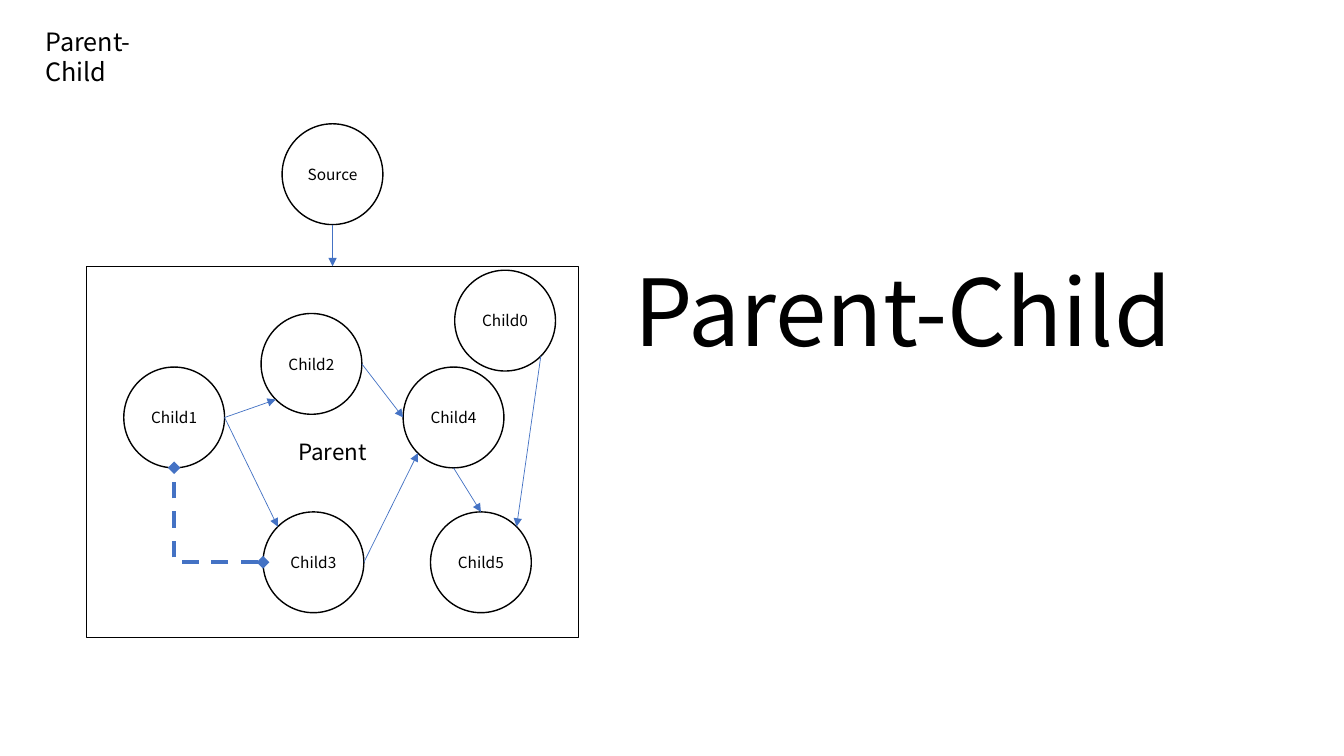
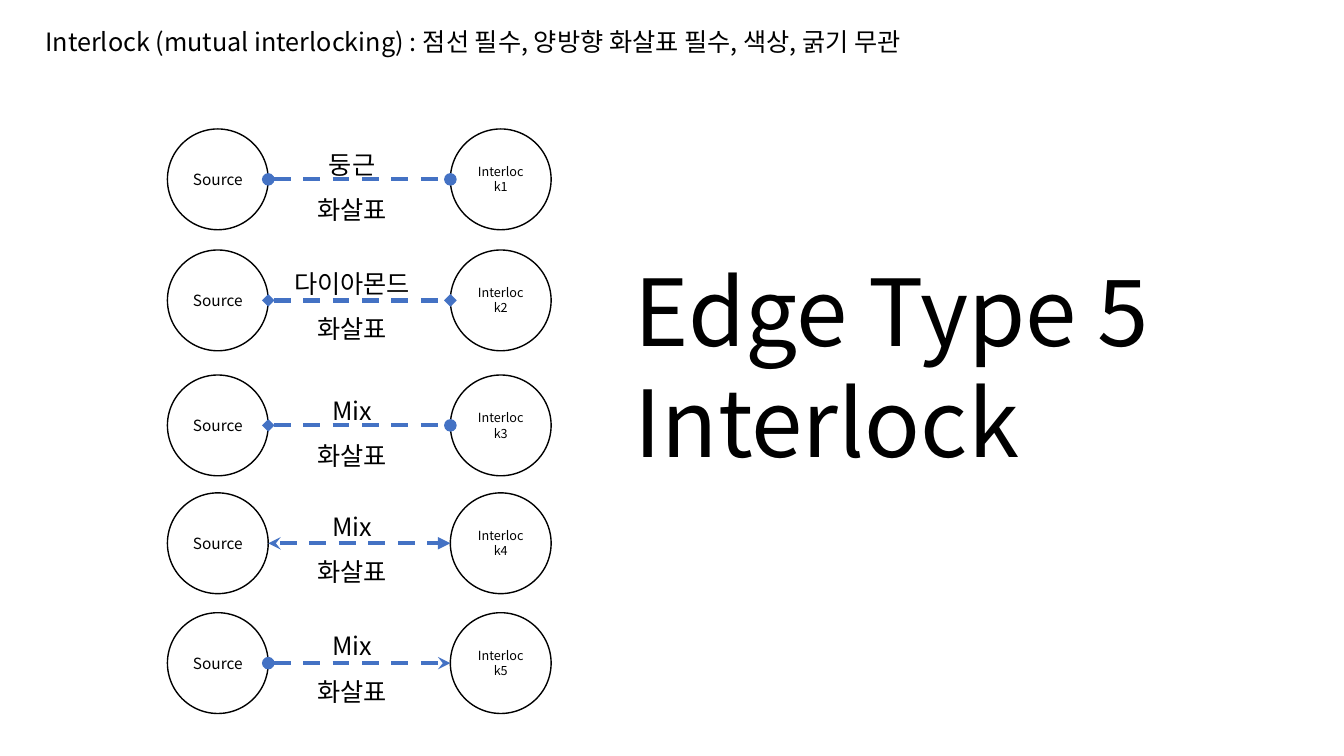
"""Build two slides on graph edges: parent-child and interlock."""
from dataclasses import dataclass
from typing import Any

from lxml import etree
from pptx import Presentation
from pptx import util as u
from pptx.dml.color import RGBColor
from pptx.enum import dml, shapes, text
from pptx.oxml.ns import qn

FONT = "Noto Sans CJK KR"
BLACK, WHITE, BLUE = "000000", "FFFFFF", "4472C4"
NODE = 2.54
ROUND, BOX = shapes.MSO_SHAPE.OVAL, shapes.MSO_SHAPE.RECTANGLE
LEFT, CENTER = text.PP_ALIGN.LEFT, text.PP_ALIGN.CENTER
NEAR, FAR = 0.5 - 0.5 ** 1.5, 0.5 + 0.5 ** 1.5
TOP, TOP_LEFT, WEST, BOTTOM_LEFT, BOTTOM, BOTTOM_RIGHT, EAST, TOP_RIGHT = range(8)
SITES = {
    TOP: (0.5, 0), TOP_LEFT: (NEAR, NEAR), WEST: (0, 0.5), BOTTOM_LEFT: (NEAR, FAR),
    BOTTOM: (0.5, 1), BOTTOM_RIGHT: (FAR, FAR), EAST: (1, 0.5), TOP_RIGHT: (FAR, NEAR),
}


@dataclass
class Node:
    """A circle with its name and top-left corner in centimetres."""
    name: str
    left: float
    top: float


@dataclass
class Edge:
    """A connection between sites of two named nodes."""
    start: str
    start_site: int
    end: str
    end_site: int


@dataclass
class Interlock:
    """A row holding a circle pair, a label and two arrowheads."""
    top: float
    label_top: float
    label: str
    head: str
    tail: str


CHILDREN = [
    Node("Child4", 10.16, 9.25),
    Node("Child1", 3.12, 9.25),
    Node("Child3", 6.63, 12.9),
    Node("Child2", 6.58, 7.9),
    Node("Child5", 10.85, 12.9),
    Node("Child0", 11.46, 6.81),
]
EDGES = [
    Edge("Child2", EAST, "Child4", WEST),
    Edge("Child1", EAST, "Child3", TOP_LEFT),
    Edge("Child1", EAST, "Child2", BOTTOM_LEFT),
    Edge("Child3", EAST, "Child4", BOTTOM_LEFT),
    Edge("Child4", BOTTOM, "Child5", TOP),
    Edge("Child0", BOTTOM_RIGHT, "Child5", TOP_RIGHT),
]
INTERLOCKS = [
    Interlock(3.25, 3.25, "둥근", "oval", "oval"),
    Interlock(6.3, 6.25, "다이아몬드", "diamond", "diamond"),
    Interlock(9.45, 9.45, "Mix", "diamond", "oval"),
    Interlock(12.42, 12.37, "Mix", "stealth", "triangle"),
    Interlock(15.44, 15.39, "Mix", "oval", "stealth"),
]


def color(value: str) -> RGBColor:
    """Turn a hex string into a colour."""
    return RGBColor.from_string(value)


def write(tf: Any, lines: list[str], size: float, align: Any = LEFT, spacing: float = 1.0) -> None:
    """Fill a text frame with one paragraph per line."""
    tf.word_wrap = True
    for i, line in enumerate(lines):
        p = tf.add_paragraph() if i else tf.paragraphs[0]
        p.alignment, p.line_spacing = align, spacing
        r = p.add_run()
        r.text = line
        r.font.size, r.font.name = u.Pt(size), FONT
        r.font.color.rgb = color(BLACK)
        etree.SubElement(r.font._element, qn("a:ea"), typeface=FONT)


def add_slide(prs: Any, title: str, width: float) -> Any:
    """Add a title-only slide with a small heading at the top left."""
    s = prs.slides.add_slide(prs.slide_layouts[5])
    sp = s.shapes.title
    sp.left, sp.top, sp.width, sp.height = map(u.Cm, (0.89, 0.53, width, 1.02))
    tf = sp.text_frame
    tf.auto_size = text.MSO_AUTO_SIZE.NONE
    tf.vertical_anchor = text.MSO_ANCHOR.TOP
    write(tf, [title], 18)
    return s


def add_text(tree: Any, lines: list[str], box: tuple[float, float, float, float],
             size: float, align: Any = LEFT, spacing: float = 1.0) -> None:
    """Add a text box at left, top, width and height."""
    sp = tree.add_textbox(*map(u.Cm, box))
    write(sp.text_frame, lines, size, align, spacing)


def add_caption(tree: Any, lines: list[str], height: float) -> None:
    """Add the large caption on the right."""
    add_text(tree, lines, (15.75, 6.27, 17.53, height), 66)


def add_node(tree: Any, name: str, box: tuple[float, float, float, float],
             size: float = 11, kind: Any = ROUND) -> Any:
    """Add an outlined white shape with a centred name."""
    sp = tree.add_shape(kind, *map(u.Cm, box))
    sp.shadow.inherit = False
    sp.fill.solid()
    sp.fill.fore_color.rgb = color(WHITE)
    sp.line.color.rgb, sp.line.width = color(BLACK), u.Pt(1)
    sp.text_frame.vertical_anchor = text.MSO_ANCHOR.MIDDLE
    write(sp.text_frame, [name], size, CENTER)
    return sp


def site_point(sp: Any, site: int) -> tuple[int, int]:
    """Locate a connection site of a shape."""
    fx, fy = SITES[site]
    return u.Emu(int(sp.left + fx * sp.width)), u.Emu(int(sp.top + fy * sp.height))


def connect(tree: Any, start: Any, start_site: int, end: Any, end_site: int,
            head: str = "", tail: str = "triangle", bent: bool = False) -> None:
    """Glue an arrow to two shapes; a head at the start makes it thick and dashed."""
    kind = shapes.MSO_CONNECTOR.ELBOW if bent else shapes.MSO_CONNECTOR.STRAIGHT
    cxn = tree.add_connector(kind, *site_point(start, start_site), *site_point(end, end_site))
    cxn.line.color.rgb, cxn.line.width = color(BLUE), u.Pt(3 if head else 0.5)
    if head:
        cxn.line.dash_style = dml.MSO_LINE.DASH
    ln = cxn.line._get_or_add_ln()
    for tag, ending in (("a:headEnd", head), ("a:tailEnd", tail)):
        if ending:
            etree.SubElement(ln, qn(tag), type=ending)
    el = cxn._element
    etree.SubElement(el.spPr, qn("a:effectLst"))
    if bent:
        el.spPr.find(qn("a:prstGeom")).set("prst", "bentConnector2")
    glue = el.find(".//" + qn("p:cNvCxnSpPr"))
    for tag, sp, site in (("a:stCxn", start, start_site), ("a:endCxn", end, end_site)):
        etree.SubElement(glue, qn(tag), id=str(sp.shape_id), idx=str(site))


def build_parent_child(prs: Any) -> None:
    """Draw a source leading into a parent with linked children."""
    s = add_slide(prs, "Parent-Child", 4.04)
    add_caption(s.shapes, ["Parent-Child"], 3.07)
    source = add_node(s.shapes, "Source", (7.11, 3.12, NODE, NODE))
    tree = s.shapes.add_group_shape().shapes
    parent = add_node(tree, "Parent", (2.18, 6.71, 12.4, 9.35), 16, BOX)
    nodes = {n.name: add_node(tree, n.name, (n.left, n.top, NODE, NODE)) for n in CHILDREN}
    for e in EDGES:
        connect(tree, nodes[e.start], e.start_site, nodes[e.end], e.end_site)
    connect(tree, nodes["Child3"], WEST, nodes["Child1"], BOTTOM, "diamond", "diamond", True)
    connect(s.shapes, source, BOTTOM, parent, TOP)


def build_interlock(prs: Any) -> None:
    """Draw one interlock row per pair of arrowheads."""
    s = add_slide(prs, "Interlock (mutual interlocking) : 점선 필수, 양방향 화살표 필수, 색상, 굵기 무관", 24.4)
    tree = s.shapes
    for i, row in enumerate(INTERLOCKS, 1):
        source = add_node(tree, "Source", (4.22, row.top, NODE, NODE))
        target = add_node(tree, f"Interlock{i}", (11.35, row.top, NODE, NODE), 9)
        connect(tree, source, EAST, target, WEST, row.head, row.tail)
        add_text(tree, [row.label, "화살표"], (7.01, row.label_top, 3.73, 2.41), 18, CENTER, 1.5)
    add_caption(tree, ["Edge Type 5", "Interlock"], 5.89)


def main() -> None:
    """Build and save the presentation."""
    prs = Presentation()
    prs.slide_width, prs.slide_height = u.Cm(33.87), u.Cm(19.05)
    build_parent_child(prs)
    build_interlock(prs)
    prs.save("out.pptx")


if __name__ == "__main__":
    main()
